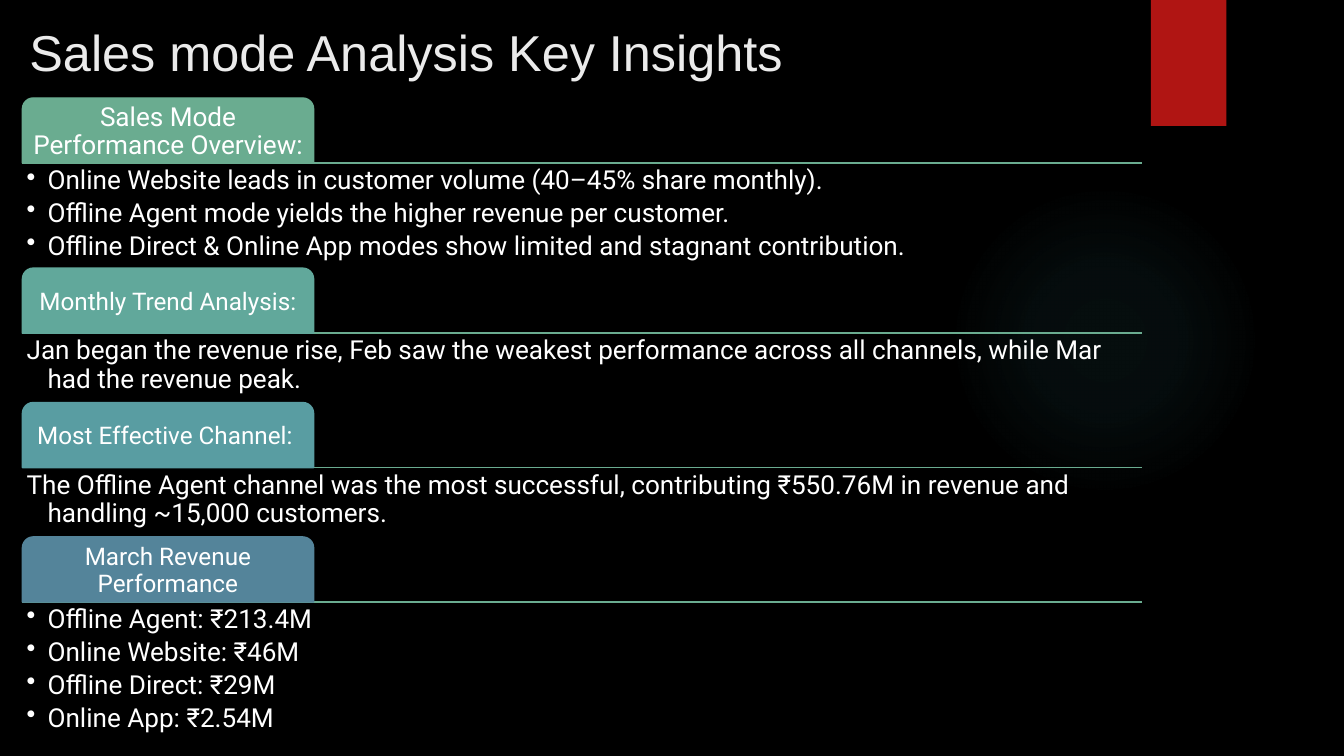
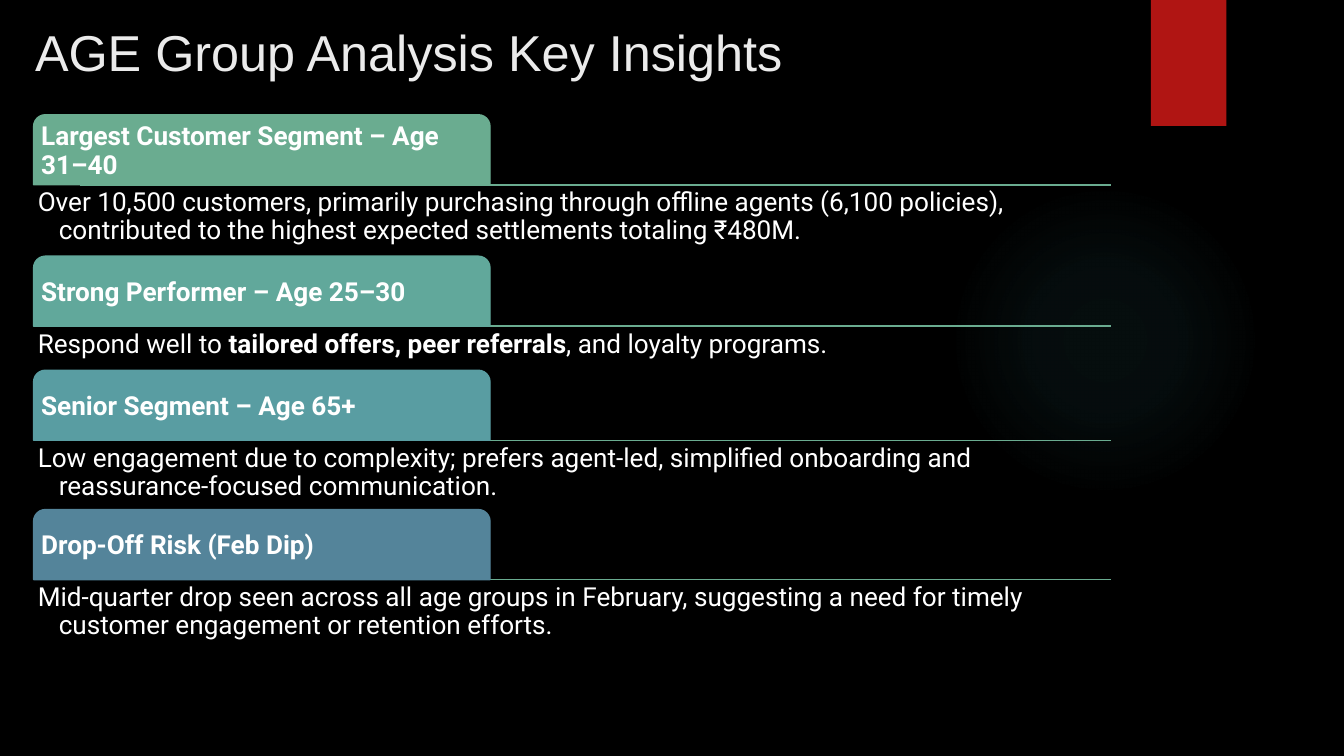
import pptx
import pptx.util
import pptx.dml.color
import pptx.enum.shapes
import pptx.enum.text
import pptx.oxml
import pptx.oxml.ns

RGB = pptx.dml.color.RGBColor
SHAPE = pptx.enum.shapes.MSO_SHAPE
ALIGN = pptx.enum.text.PP_ALIGN
ANCHOR = pptx.enum.text.MSO_ANCHOR

# Content: "**" switches bold on and off within a body paragraph
INSIGHTS = [
    {
        "title": "Sales mode Analysis Key Insights",
        "title_left": 32, "left": 32, "top": 140, "width": 1600, "rule_left": 32,
        "tab_width": 416, "tab_height": 93, "tab_align": ALIGN.CENTER, "tab_bold": False,
        # heading, heading size, body height, bulleted, body paragraphs
        "sections": [
            ("Sales Mode Performance Overview:", 28, 145, True, [
                "Online Website leads in customer volume (40–45% share monthly).",
                "Offline Agent mode yields the higher revenue per customer.",
                "Offline Direct & Online App modes show limited and stagnant contribution."]),
            ("Monthly Trend Analysis:", 26, 94, False, [
                "Jan began the revenue rise, Feb saw the weakest performance across all "
                "channels, while Mar had the revenue peak."]),
            ("Most Effective Channel: ", 26, 94, False, [
                "The Offline Agent channel was the most successful, contributing ₹550.76M "
                "in revenue and handling ~15,000 customers."]),
            ("March Revenue Performance", 26, 133, True, [
                "Offline Agent: ₹213.4M",
                "Online Website: ₹46M",
                "Offline Direct: ₹29M",
                "Online App: ₹2.54M"]),
        ],
    },
    {
        "title": "AGE Group Analysis Key Insights",
        "title_left": 40, "left": 48, "top": 164, "width": 1472, "rule_left": 115,
        "tab_width": 652, "tab_height": 100, "tab_align": ALIGN.LEFT, "tab_bold": True,
        "sections": [
            ("Largest Customer Segment – Age 31–40", 28, 97, False, [
                "Over 10,500 customers, primarily purchasing through offline agents (6,100 "
                "policies), contributed to the highest expected settlements totaling ₹480M."]),
            ("Strong Performer – Age 25–30", 28, 58, False, [
                "Respond well to **tailored offers, peer referrals**, and loyalty programs."]),
            ("Senior Segment – Age 65+", 28, 94, False, [
                "Low engagement due to complexity; prefers agent-led, simplified onboarding "
                "and reassurance-focused communication."]),
            ("Drop-Off Risk (Feb Dip)", 28, 95, False, [
                "Mid-quarter drop seen across all age groups in February, suggesting a need "
                "for timely customer engagement or retention efforts."]),
        ],
    },
]

# Shared style
BLACK = RGB(0x00, 0x00, 0x00)
WHITE = RGB(0xFF, 0xFF, 0xFF)
TITLE_GREY = RGB(0xEB, 0xEB, 0xEB)
RED = RGB(0xB0, 0x15, 0x13)
GLOW = RGB(0x50, 0xB9, 0xC1)
TAB_COLORS = [RGB(0x6A, 0xAC, 0x90), RGB(0x61, 0xA8, 0x9B),
              RGB(0x59, 0x9D, 0xA2), RGB(0x54, 0x84, 0x9A)]
RULE_COLOR = TAB_COLORS[0]
TITLE_FONT, TEXT_FONT = "Arial", "Roboto"
TITLE_SIZE, BODY_SIZE = 54, 28
LINE_WIDTH = pptx.util.Pt(1.5)
SECTION_GAP, INSET, INDENT = 5, 6, 30
EMU_PER_PX = 9525
NS = pptx.oxml.ns.nsdecls("a")


def px(length):
    return pptx.util.Emu(length * EMU_PER_PX)


def add_preset(slide, preset, left, top, width, height, color):
    shape = slide.shapes.add_shape(preset, px(left), px(top), px(width), px(height))
    shape.shadow.inherit = False
    shape.fill.solid()
    shape.fill.fore_color.rgb = color
    shape.line.fill.background()
    return shape


def style_font(font, name, size, color, bold=False):
    font.name, font.size, font.bold = name, pptx.util.Pt(size), bold
    font.color.rgb = color


def set_frame(frame, anchor, inset):
    frame.word_wrap = True
    frame.vertical_anchor = anchor
    frame.margin_left = frame.margin_right = px(inset)
    frame.margin_top = frame.margin_bottom = px(inset)


def add_backdrop(slide):
    slide.background.fill.solid()
    slide.background.fill.fore_color.rgb = BLACK

    # Soft radial glow
    glow = add_preset(slide, SHAPE.OVAL, 1356, 264, 444, 444, GLOW)
    stops = "".join(
        f'<a:gs pos="{pos}000"><a:srgbClr val="{GLOW}"><a:alpha val="{alpha}000"/></a:srgbClr></a:gs>'
        for pos, alpha in [(0, 7), (36, 6), (69, 0)])
    gradient = pptx.oxml.parse_xml(
        f'<a:gradFill {NS} rotWithShape="1"><a:gsLst>{stops}</a:gsLst><a:path path="circle">'
        '<a:fillToRect l="50000" t="50000" r="50000" b="50000"/></a:path></a:gradFill>')
    properties = glow.element.spPr
    properties.replace(properties.find(pptx.oxml.ns.qn("a:solidFill")), gradient)

    # Red ribbon with a light drop shadow
    ribbon = add_preset(slide, SHAPE.RECTANGLE, 1644, 0, 108, 180, RED)
    effects = ribbon.element.spPr.find(pptx.oxml.ns.qn("a:effectLst"))
    effects.append(pptx.oxml.parse_xml(
        f'<a:outerShdw {NS} blurRad="38100" dist="25400" dir="5400000" rotWithShape="0">'
        f'<a:srgbClr val="{BLACK}"><a:alpha val="45000"/></a:srgbClr></a:outerShdw>'))


def add_title(slide, text, left):
    frame = slide.shapes.add_textbox(px(left), px(20), px(1390), px(101)).text_frame
    set_frame(frame, ANCHOR.BOTTOM, 5)
    frame.margin_left = frame.margin_right = px(10)
    frame.text = text
    style_font(frame.paragraphs[0].runs[0].font, TITLE_FONT, TITLE_SIZE, TITLE_GREY)


def add_rule(slide, left, top, width):
    rule = slide.shapes.add_connector(
        pptx.enum.shapes.MSO_CONNECTOR.STRAIGHT, px(left), px(top), px(left + width), px(top))
    rule.line.color.rgb = RULE_COLOR
    rule.line.width = LINE_WIDTH
    rule.element.spPr.append(pptx.oxml.parse_xml(f"<a:effectLst {NS}/>"))


def add_tab(slide, insight, top, heading, size, color):
    tab = add_preset(slide, SHAPE.ROUND_2_SAME_RECTANGLE, insight["left"], top,
                     insight["tab_width"], insight["tab_height"], color)
    tab.line.color.rgb = color
    tab.line.width = LINE_WIDTH
    tab.adjustments[0], tab.adjustments[1] = 0.167, 0
    set_frame(tab.text_frame, ANCHOR.MIDDLE, INSET)
    tab.text_frame.text = heading
    paragraph = tab.text_frame.paragraphs[0]
    paragraph.alignment = insight["tab_align"]
    paragraph.line_spacing = 0.9
    style_font(paragraph.runs[0].font, TEXT_FONT, size, WHITE, insight["tab_bold"])


def add_body(slide, left, top, width, height, bulleted, texts):
    frame = slide.shapes.add_textbox(px(left), px(top), px(width), px(height)).text_frame
    set_frame(frame, ANCHOR.TOP, INSET)
    for index, text in enumerate(texts):
        paragraph = frame.add_paragraph() if index else frame.paragraphs[0]
        paragraph.level = 1
        properties = paragraph._p.get_or_add_pPr()
        properties.set("marL", str(px(INDENT)))
        properties.set("indent", str(-px(INDENT)))
        if bulleted:
            properties.append(pptx.oxml.parse_xml(f'<a:buChar {NS} char="•"/>'))
        paragraph.line_spacing = 0.9
        paragraph.space_after = pptx.util.Pt(5)
        for part, words in enumerate(text.split("**")):
            run = paragraph.add_run()
            run.text = words
            style_font(run.font, TEXT_FONT, BODY_SIZE, WHITE, part % 2 == 1)


def build_slide(deck, insight):
    slide = deck.slides.add_slide(deck.slide_layouts[6])
    add_backdrop(slide)
    add_title(slide, insight["title"], insight["title_left"])

    # Each section: tab, rule under it, body below, then the gap to the next tab
    left, width, top = insight["left"], insight["width"], insight["top"]
    for section, color in zip(insight["sections"], TAB_COLORS):
        heading, size, body_height, bulleted, texts = section
        body_top = top + insight["tab_height"]
        add_rule(slide, insight["rule_left"], body_top, width)
        add_tab(slide, insight, top, heading, size, color)
        add_body(slide, left, body_top, width, body_height, bulleted, texts)
        top = body_top + body_height + SECTION_GAP


def main():
    deck = pptx.Presentation()
    deck.slide_width, deck.slide_height = px(1920), px(1080)
    for insight in INSIGHTS:
        build_slide(deck, insight)
    deck.save("out.pptx")


if __name__ == "__main__":
    main()
